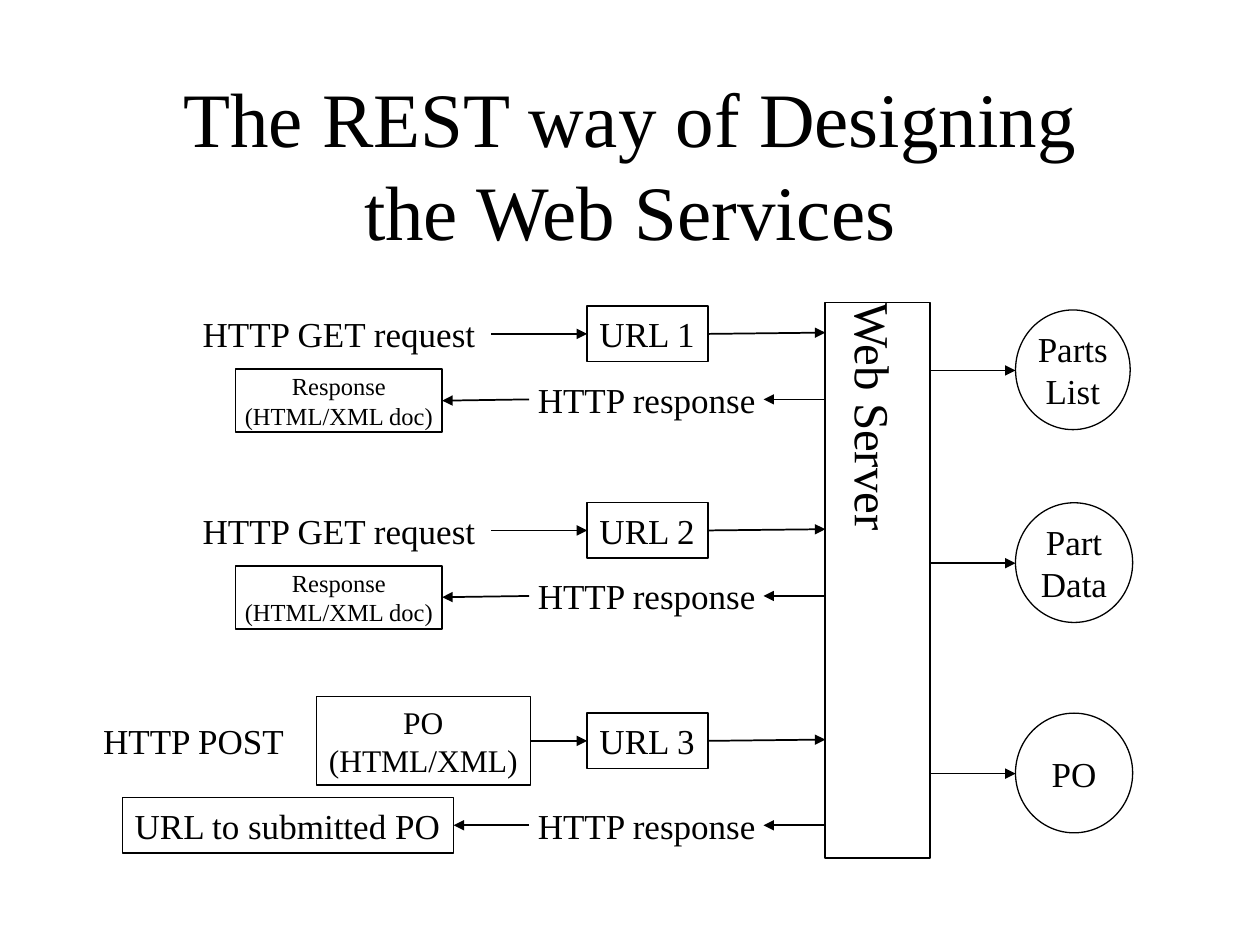
"""Build the slide on the REST way of designing web services."""
from lxml import etree
from pptx import Presentation
from pptx.dml.color import RGBColor
from pptx.enum import shapes, text
from pptx.oxml.ns import qn
from pptx.util import Inches, Pt

COLORS = {"ink": "000000", "paper": "FFFFFF"}
FONT = "Times New Roman"
INK = RGBColor.from_string(COLORS["ink"])
PAPER = RGBColor.from_string(COLORS["paper"])
RECT, OVAL = shapes.MSO_SHAPE.RECTANGLE, shapes.MSO_SHAPE.OVAL
LEFT, CENTER = text.PP_ALIGN.LEFT, text.PP_ALIGN.CENTER

prs = Presentation()
prs.slide_width, prs.slide_height = Inches(10), Inches(7.5)
s = prs.slides.add_slide(prs.slide_layouts[5])


def add_box(at, lines, size=20, kind=None, filled=False, width=0.75, align=CENTER):
    at = [Inches(v) for v in at]
    if kind is None:
        sp = s.shapes.add_textbox(*at)
    else:
        sp = s.shapes.add_shape(kind, *at)
        sp.shadow.inherit = False
        sp.line.color.rgb = INK
        sp.line.width = Pt(width)
        if filled:
            sp.fill.solid()
            sp.fill.fore_color.rgb = PAPER
        else:
            sp.fill.background()
    tf = sp.text_frame
    tf.word_wrap = False
    tf.vertical_anchor = text.MSO_ANCHOR.MIDDLE
    tf.text = lines
    for p in tf.paragraphs:
        p.alignment = align
        p.font.name, p.font.size = FONT, Pt(size)
        p.font.color.rgb = INK
    return sp


def add_arrow(x1, y1, x2, y2, start=None, end=None):
    c = s.shapes.add_connector(shapes.MSO_CONNECTOR.STRAIGHT,
                               Inches(x1), Inches(y1), Inches(x2), Inches(y2))
    if start is not None:
        c.begin_connect(start, 3)
    if end is not None:
        c.end_connect(*end)
    c.line.color.rgb = INK
    c.line.width = Pt(1)
    etree.SubElement(c.line._get_or_add_ln(), qn("a:tailEnd"), type="triangle")
    etree.SubElement(c._element.spPr, qn("a:effectLst"))


title = s.shapes.title
title.left, title.top = Inches(1.03), Inches(0.67)
title.width, title.height = Inches(7.94), Inches(1.25)
tf = title.text_frame
tf.text = "The REST way of Designing the Web Services"
tf.word_wrap = True
tf.auto_size = text.MSO_AUTO_SIZE.NONE
tf.vertical_anchor = text.MSO_ANCHOR.MIDDLE
p = tf.paragraphs[0]
p.alignment = CENTER
p.font.name, p.font.size = FONT, Pt(44)
p.font.color.rgb = INK

server = add_box((6.55, 2.4, 0.83, 4.41), "Web Server", 28, RECT, True, 1)
server.element.txBody.bodyPr.set("vert", "eaVert")
tf = server.text_frame
tf.margin_left, tf.margin_right = 0, Inches(0.1)
tf.margin_top, tf.margin_bottom = 0, Inches(0.07)

for number, top, reply_top, circle_top, width, resource in (
    (1, 2.43, 2.95, 2.46, 0.91, "Parts\nList"),
    (2, 3.99, 4.51, 3.99, 0.93, "Part\nData"),
    (3, 5.66, 6.33, 5.66, 0.93, "PO"),
):
    middle, reply_middle = top + 0.22, reply_top + 0.22
    url = add_box((4.66, top, 0.96, 0.44), f"URL {number}", kind=RECT, align=LEFT)
    if number < 3:
        add_box((1.51, top, 2.38, 0.44), "HTTP GET request", align=LEFT)
        add_arrow(3.9, middle, 4.66, middle, end=(url, 1))
        reply = add_box((1.87, reply_top - 0.02, 1.64, 0.5),
                        "Response\n(HTML/XML doc)", 14, RECT, True, 1)
    else:
        add_box((0.72, top, 1.64, 0.44), "HTTP POST", align=LEFT)
        order = add_box((2.51, 5.53, 1.7, 0.7), "PO\n(HTML/XML)", 18, RECT)
        add_arrow(4.21, middle, 4.66, middle, order, (url, 1))
        reply = add_box((0.97, reply_top, 2.63, 0.44), "URL to submitted PO",
                        kind=RECT, align=LEFT)
    add_arrow(5.62, middle, 6.55, middle - 0.01, url)
    add_box((4.17, reply_top, 1.94, 0.44), "HTTP response", align=LEFT)
    add_arrow(6.55, reply_middle, 6.06, reply_middle)
    add_arrow(4.2, reply_middle, 3.5, reply_middle, end=(reply, 3))
    add_box((8.06, circle_top, width, 0.95), resource, kind=OVAL, filled=True)
    add_arrow(7.38, circle_top + 0.48, 8.06, circle_top + 0.48)

prs.save("out.pptx")
